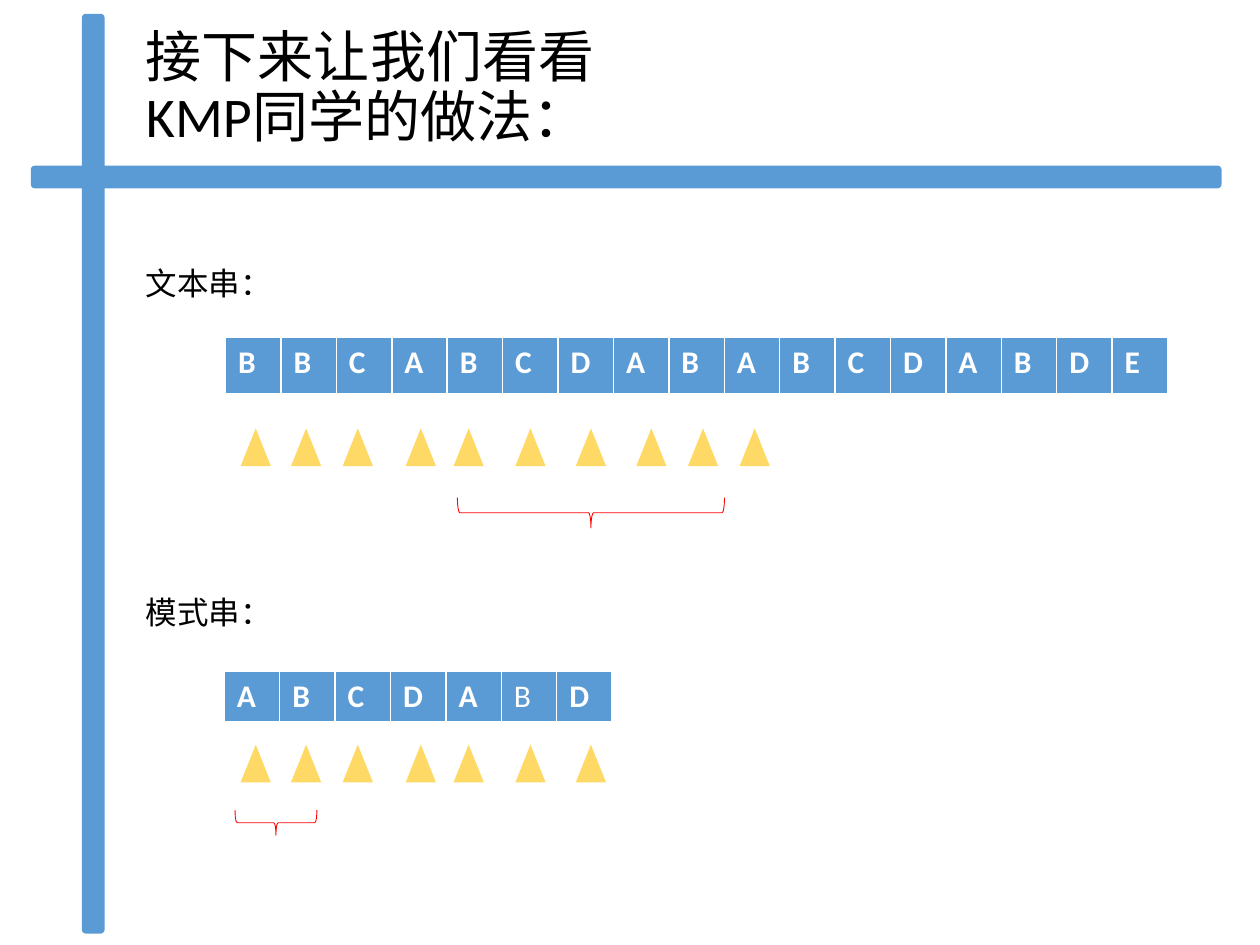
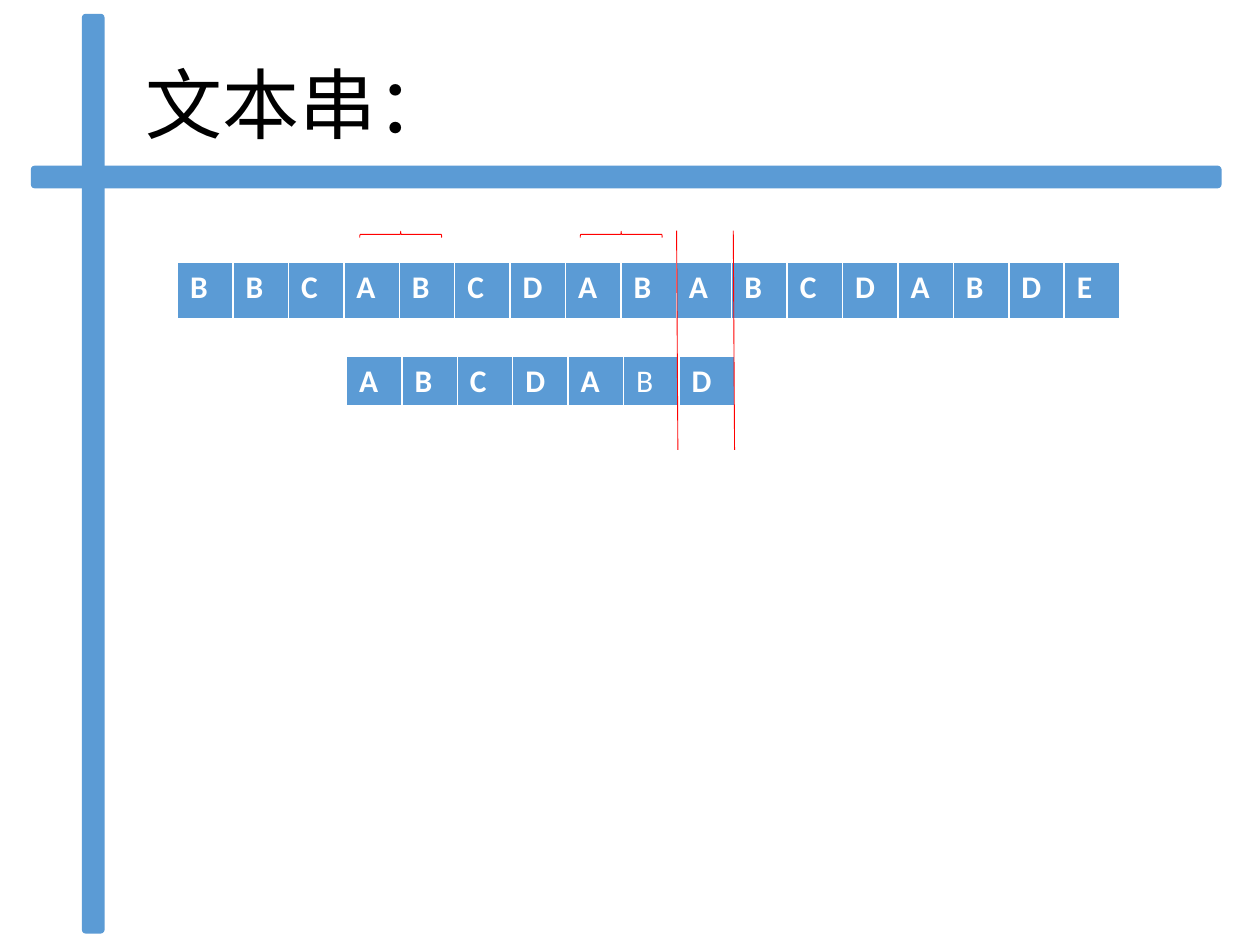
"""Two slides on how KMP string matching moves along a text."""
from lxml.etree import SubElement
from pptx import Presentation
from pptx.dml.color import RGBColor
from pptx.enum.shapes import MSO_CONNECTOR as Connector, MSO_SHAPE as Shape
from pptx.enum.text import MSO_ANCHOR as Anchor, MSO_AUTO_SIZE as AutoSize
from pptx.oxml.ns import qn
from pptx.util import Inches, Pt

TEXT = "BBCABCDABABCDABDE"
PATTERN = "ABCDABD"
LIGHT_INDEX = 5  # the one pattern letter that is not bold
CELL_WIDTH = 0.44


def color(value):
    """Turn a hex string into a colour."""
    return RGBColor.from_string(value)


class Deck:
    """Holds the shared style and the slide being built."""

    FONT = "Calibri"
    BLUE, YELLOW, RED = "5B9BD5", "FFD966", "FF0000"
    BLACK, WHITE = "000000", "FFFFFF"
    BORDERS = {"a:lnL": 1, "a:lnR": 1, "a:lnT": 1, "a:lnB": 3}
    HAIRLINE = 0.5

    def __init__(self):
        """Open an empty 4:3 presentation."""
        self.presentation = Presentation()
        self.presentation.slide_width = Inches(10)
        self.presentation.slide_height = Inches(7.5)
        self.slide = None

    def add_slide(self, title, size, title_width):
        """Start a slide with its title and the crossed bars."""
        layout = self.presentation.slide_layouts[6]
        self.slide = self.presentation.slides.add_slide(layout)
        frame = self.text(title, 1.06, 0.11, title_width, 1.13, size)
        frame.word_wrap = True
        frame.vertical_anchor = Anchor.BOTTOM
        frame.paragraphs[0].line_spacing = 0.9
        self.shape(Shape.ROUNDED_RECTANGLE, 0.65, 0.11, 0.18, 7.3, self.BLUE)
        bar = self.shape(Shape.ROUNDED_RECTANGLE, 4.88, -3.32, 0.18, 9.45, self.BLUE)
        bar.rotation = 90

    def format_runs(self, frame, size, font_color, bold=False):
        """Apply the deck font to all runs of a text frame."""
        for paragraph in frame.paragraphs:
            for run in paragraph.runs:
                run.font.name = self.FONT
                run.font.size = Pt(size)
                run.font.bold = bold
                run.font.color.rgb = color(font_color)

    def text(self, words, left, top, width, height, size):
        """Add a text box and return its frame."""
        box = self.slide.shapes.add_textbox(
            Inches(left), Inches(top), Inches(width), Inches(height))
        frame = box.text_frame
        frame.text = words
        self.format_runs(frame, size, self.BLACK)
        return frame

    def label(self, words, top):
        """Add a one-line label that does not wrap."""
        frame = self.text(words, 1.06, top, 1.21, 0.4, 18)
        frame.word_wrap = False
        frame.auto_size = AutoSize.SHAPE_TO_FIT_TEXT

    def shape(self, kind, left, top, width, height, fill=None):
        """Add a preset shape: filled without outline, or a red outline."""
        shape = self.slide.shapes.add_shape(
            kind, Inches(left), Inches(top), Inches(width), Inches(height))
        shape.shadow.inherit = False
        if fill:
            shape.fill.solid()
            shape.fill.fore_color.rgb = color(fill)
            shape.line.fill.background()
        else:
            shape.fill.background()
            self.red_line(shape)
        return shape

    def red_line(self, shape):
        """Give a shape or connector the thin red line."""
        shape.line.color.rgb = color(self.RED)
        shape.line.width = Pt(self.HAIRLINE)

    def letters(self, word, left, top, height, light=None):
        """Add a one-row table with a letter in each cell."""
        table = self.slide.shapes.add_table(
            1, len(word), Inches(left), Inches(top),
            Inches(CELL_WIDTH * len(word)), Inches(height)).table
        table.first_row = table.horz_banding = False
        for index, letter in enumerate(word):
            table.columns[index].width = Inches(CELL_WIDTH)
            cell = table.cell(0, index)
            cell.text_frame.text = letter
            self.format_runs(cell.text_frame, 18, self.WHITE, index != light)
            self.cell_borders(cell)
            cell.fill.solid()
            cell.fill.fore_color.rgb = color(self.BLUE)

    def cell_borders(self, cell):
        """Draw the white borders of a cell."""
        properties = cell._tc.get_or_add_tcPr()
        for tag, points in self.BORDERS.items():
            line = SubElement(properties, qn(tag), w=str(Pt(points)))
            fill = SubElement(line, qn("a:solidFill"))
            SubElement(fill, qn("a:srgbClr"), val=self.WHITE)

    def markers(self, lefts, top):
        """Add a row of yellow triangles."""
        for left in lefts:
            self.shape(Shape.ISOSCELES_TRIANGLE, left, top, 0.24, 0.3, self.YELLOW)

    def brace(self, kind, center_x, center_y, span, depth):
        """Add a brace turned to lie along a row."""
        brace = self.shape(
            kind, center_x - depth / 2, center_y - span / 2, depth, span)
        brace.rotation = 90

    def guide(self, x, top, bottom):
        """Add a thin red guide line that leans slightly right."""
        line = self.slide.shapes.add_connector(
            Connector.STRAIGHT, Inches(x), Inches(top), Inches(x + 0.01), Inches(bottom))
        self.red_line(line)
        SubElement(line._element.spPr, qn("a:effectLst"))


deck = Deck()

# Step through the text and the pattern
deck.add_slide("接下来让我们看看\vKMP同学的做法：", 32, 8.35)
deck.letters(TEXT, 1.79, 2.68, 0.46)
deck.label("文本串：", 2.05)
deck.label("模式串：", 4.66)
deck.letters(PATTERN, 1.78, 5.33, 0.41, LIGHT_INDEX)
marker_lefts = [1.91, 2.31, 2.72, 3.22, 3.6, 4.09, 4.57, 5.05, 5.46, 5.87]
deck.markers(marker_lefts, 3.4)
deck.markers(marker_lefts[:len(PATTERN)], 5.91)
deck.brace(Shape.RIGHT_BRACE, 4.69, 4.07, 2.12, 0.24)
deck.brace(Shape.RIGHT_BRACE, 2.19, 6.53, 0.65, 0.2)

# Pattern aligned under the text, mismatch between the guides
deck.add_slide("文本串：", 44, 7.01)
deck.letters(TEXT, 1.41, 2.08, 0.46)
deck.letters(PATTERN, 2.75, 2.83, 0.4, LIGHT_INDEX)
for guide_x in (5.37, 5.82):
    deck.guide(guide_x, 1.83, 3.57)
for brace_x in (3.18, 4.93):
    deck.brace(Shape.LEFT_BRACE, brace_x, 1.86, 0.65, 0.05)

deck.presentation.save("out.pptx")
